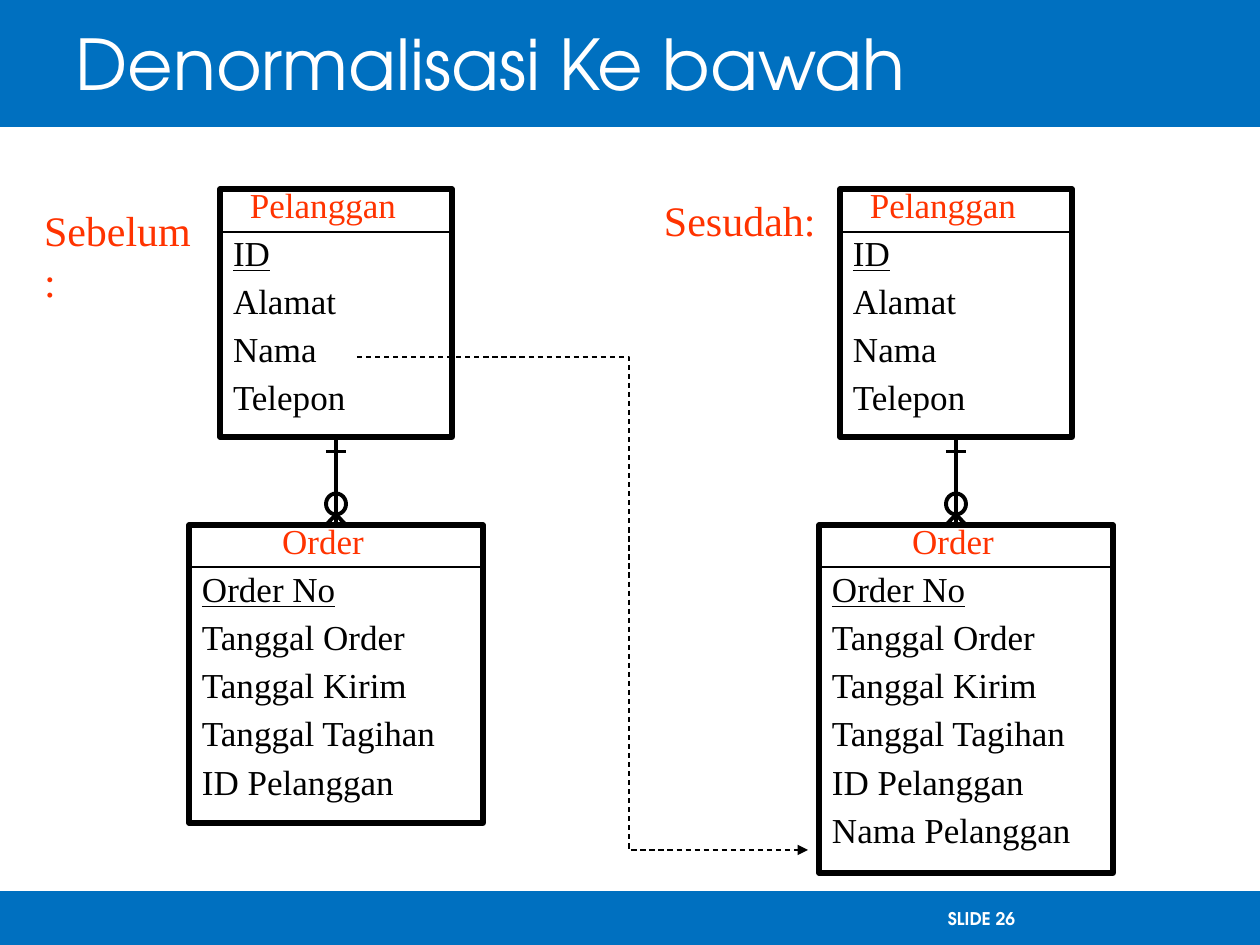
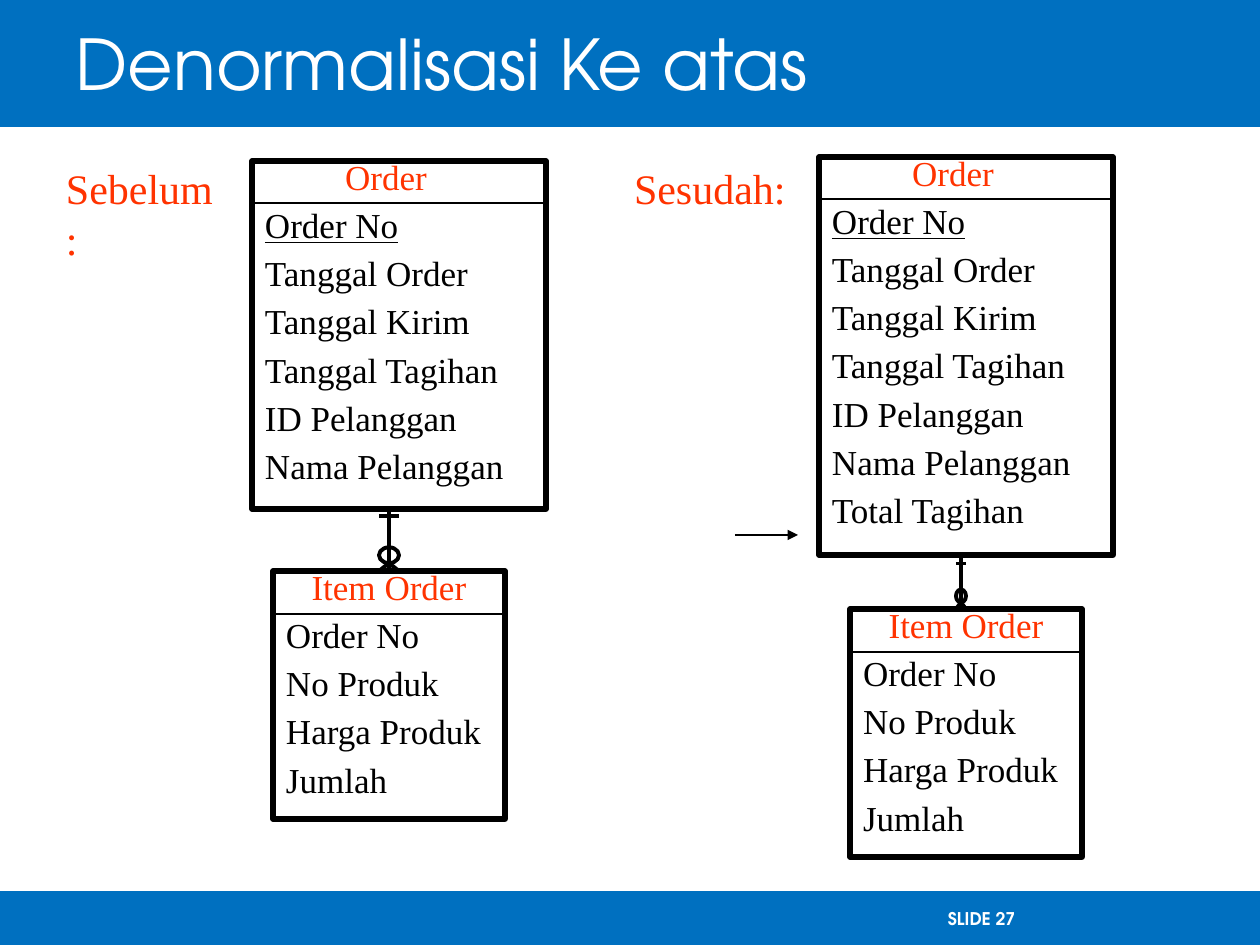
from pptx import Presentation
from pptx.dml.color import RGBColor
from pptx.enum.dml import MSO_LINE
from pptx.enum.shapes import MSO_CONNECTOR, MSO_SHAPE
from pptx.enum.text import MSO_ANCHOR, PP_ALIGN
from pptx.oxml.ns import qn
from pptx.util import Emu, Pt
from lxml.etree import SubElement

SCALE = 914400 / 126  # EMU in one px
SLIDE_WIDTH, SLIDE_HEIGHT = 1260, 945
TITLE_HEIGHT = 126
FOOTER_TOP, FOOTER_HEIGHT = 892, 53

BLUE, RED, BLACK, WHITE = "0070C0", "FF3300", "000000", "FFFFFF"
SANS, SERIF = "TeX Gyre Adventor", "Times New Roman"
INSETS = (13, 6, 13, 6)
ROW_HEIGHT = 50

# style of each entity: width, depth of its header, right inset
STYLES = {
    "Pelanggan": (232, 43, 39),
    "Order": (294, 42, 39),
    "Item Order": (232, 43, 13),
}

CUSTOMER = ["ID", "Alamat", "Nama", "Telepon"]
ORDER = ["Order No", "Tanggal Order", "Tanggal Kirim", "Tanggal Tagihan", "ID Pelanggan"]
ORDER_NAMED = ORDER + ["Nama Pelanggan"]
ORDER_TOTAL = ORDER_NAMED + ["Total Tagihan"]
ITEM = ["Order No", "No Produk", "Harga Produk", "Jumlah"]

# entity: name, fields, left, top; relation: centre x, top, half width
SLIDES = [
    {
        "title": "Denormalisasi Ke bawah",
        "number": 26,
        "models": [
            {"label": ("Sebelum:", 31, 199),
             "parent": ("Pelanggan", CUSTOMER, 220, 189),
             "child": ("Order", ORDER, 189, 525),
             "relation": (336, 441, 10)},
            {"label": ("Sesudah:", 651, 189),
             "parent": ("Pelanggan", CUSTOMER, 840, 189),
             "child": ("Order", ORDER_NAMED, 819, 525),
             "relation": (956, 441, 10)},
        ],
        "copied_field": [(357, 357), (629, 357), (629, 850), (808, 850)],
    },
    {
        "title": "Denormalisasi Ke atas",
        "number": 27,
        "models": [
            {"label": ("Sebelum:", 53, 157),
             "parent": ("Order", ORDER_NAMED, 252, 161),
             "child": ("Item Order", ITEM, 273, 571),
             "relation": (389, 508, 10)},
            {"label": ("Sesudah:", 621, 157),
             "parent": ("Order", ORDER_TOTAL, 819, 157),
             "child": ("Item Order", ITEM, 850, 609),
             "relation": (961, 557, 5)},
        ],
        "new_field": [(735, 535), (798, 535)],
    },
]


def px(length):
    return Emu(round(length * SCALE))


def rgb(color):
    return RGBColor.from_string(color)


def set_line(shape, color, width):
    shape.line.color.rgb = rgb(color)
    shape.line.width = Pt(width)


def add_arrowhead(shape):
    SubElement(shape.line._get_or_add_ln(), qn("a:tailEnd"), type="triangle")


def add_shape(slide, preset, box, line=BLACK, width=3, fill=None):
    shape = slide.shapes.add_shape(preset, *map(px, box))
    shape.shadow.inherit = False
    set_line(shape, line, width)
    if fill:
        shape.fill.solid()
        shape.fill.fore_color.rgb = rgb(fill)
    else:
        shape.fill.background()
    return shape


def add_line(slide, start, end, width=0.75):
    line = slide.shapes.add_connector(MSO_CONNECTOR.STRAIGHT, *map(px, start + end))
    set_line(line, BLACK, width)
    SubElement(line._element.spPr, qn("a:effectLst"))
    return line


def set_frame(frame, insets=INSETS, anchor=MSO_ANCHOR.TOP, wrap=True):
    left, top, right, bottom = map(px, insets)
    frame.margin_left, frame.margin_top = left, top
    frame.margin_right, frame.margin_bottom = right, bottom
    frame.vertical_anchor = anchor
    frame.word_wrap = wrap


def write(paragraph, text, font=SERIF, size=20, color=BLACK, bold=False,
          underline=False, align=PP_ALIGN.LEFT):
    paragraph.alignment = align
    run = paragraph.add_run()
    run.text = text
    run.font.name = font
    run.font.size = Pt(size)
    run.font.bold = bold
    run.font.underline = underline
    run.font.color.rgb = rgb(color)


def add_text(slide, text, box, insets=INSETS, anchor=MSO_ANCHOR.TOP, wrap=True, **style):
    frame = slide.shapes.add_textbox(*map(px, box)).text_frame
    set_frame(frame, insets, anchor, wrap)
    write(frame.paragraphs[0], text, **style)


def add_base(slide, title, number):
    """Draw the bands, the title and the footer that all slides share."""
    for top, height in ((0, TITLE_HEIGHT), (FOOTER_TOP, FOOTER_HEIGHT)):
        add_shape(slide, MSO_SHAPE.RECTANGLE, (0, top, SLIDE_WIDTH, height),
                  line=BLUE, width=0.75, fill=BLUE)
    add_text(slide, f"SLIDE {number}", (935, FOOTER_TOP, 262, FOOTER_HEIGHT),
             insets=(13, 6, 0, 6), anchor=MSO_ANCHOR.MIDDLE,
             font=SANS, size=10, color=WHITE, bold=True)
    add_text(slide, title, (63, 0, 1134, TITLE_HEIGHT), anchor=MSO_ANCHOR.MIDDLE,
             font=SANS, size=40, color=WHITE)


def add_entity(slide, name, fields, left, top):
    width, header, right_inset = STYLES[name]
    height = ROW_HEIGHT * (len(fields) + 1) - 2
    entity = add_shape(slide, MSO_SHAPE.RECTANGLE, (left, top, width, height))
    frame = entity.text_frame
    set_frame(frame, insets=(13, 6, right_inset, 6))
    write(frame.paragraphs[0], name, color=RED, align=PP_ALIGN.CENTER)
    frame.paragraphs[0].line_spacing = 0.7
    for index, field in enumerate(fields):
        paragraph = frame.add_paragraph()
        paragraph.line_spacing = 0.7
        paragraph.space_before = Pt(10.7)
        is_key = index == 0 and name != "Item Order"
        write(paragraph, field, underline=is_key)
    add_line(slide, (left, top + header), (left + width, top + header))
    return entity, left + width / 2


def add_relation(slide, parent, child, x, top, half, bottom):
    """Draw a one-to-many link: stem, crow's foot, bar and circle."""
    parent_shape, parent_centre = parent
    child_shape, child_centre = child
    eighth = (bottom - top) / 8
    stem = add_line(slide, (x, top), (x, bottom), 2.25)
    if x == parent_centre:
        stem.begin_connect(parent_shape, 2)
    if x == child_centre:
        stem.end_connect(child_shape, 0)
    for toe in (x - half, x + half):
        add_line(slide, (x, bottom - eighth), (toe, bottom), 2.25)
    add_line(slide, (x - half, top + eighth), (x + half, top + eighth), 2.25)
    add_shape(slide, MSO_SHAPE.OVAL,
              (x - half, top + 5 * eighth, 2 * half, 2 * eighth), width=2.25)


def add_model(slide, label, parent, child, relation):
    text, left, top = label
    add_text(slide, text, (left, top, 184, 63), wrap=False, size=24, color=RED)
    add_relation(slide, add_entity(slide, *parent), add_entity(slide, *child),
                 *relation, bottom=child[3])


def add_dashed_path(slide, points):
    builder = slide.shapes.build_freeform(*points[0], scale=SCALE)
    builder.add_line_segments(points[1:], close=False)
    route = builder.convert_to_shape()
    route.shadow.inherit = False
    route.fill.background()
    set_line(route, BLACK, 0.75)
    route.line.dash_style = MSO_LINE.DASH
    add_arrowhead(route)


def main():
    presentation = Presentation()
    presentation.slide_width = px(SLIDE_WIDTH)
    presentation.slide_height = px(SLIDE_HEIGHT)
    for content in SLIDES:
        slide = presentation.slides.add_slide(presentation.slide_layouts[6])
        add_base(slide, content["title"], content["number"])
        for model in content["models"]:
            add_model(slide, **model)
        if "copied_field" in content:
            add_dashed_path(slide, content["copied_field"])
        if "new_field" in content:
            add_arrowhead(add_line(slide, *content["new_field"]))
    presentation.save("out.pptx")


if __name__ == "__main__":
    main()
